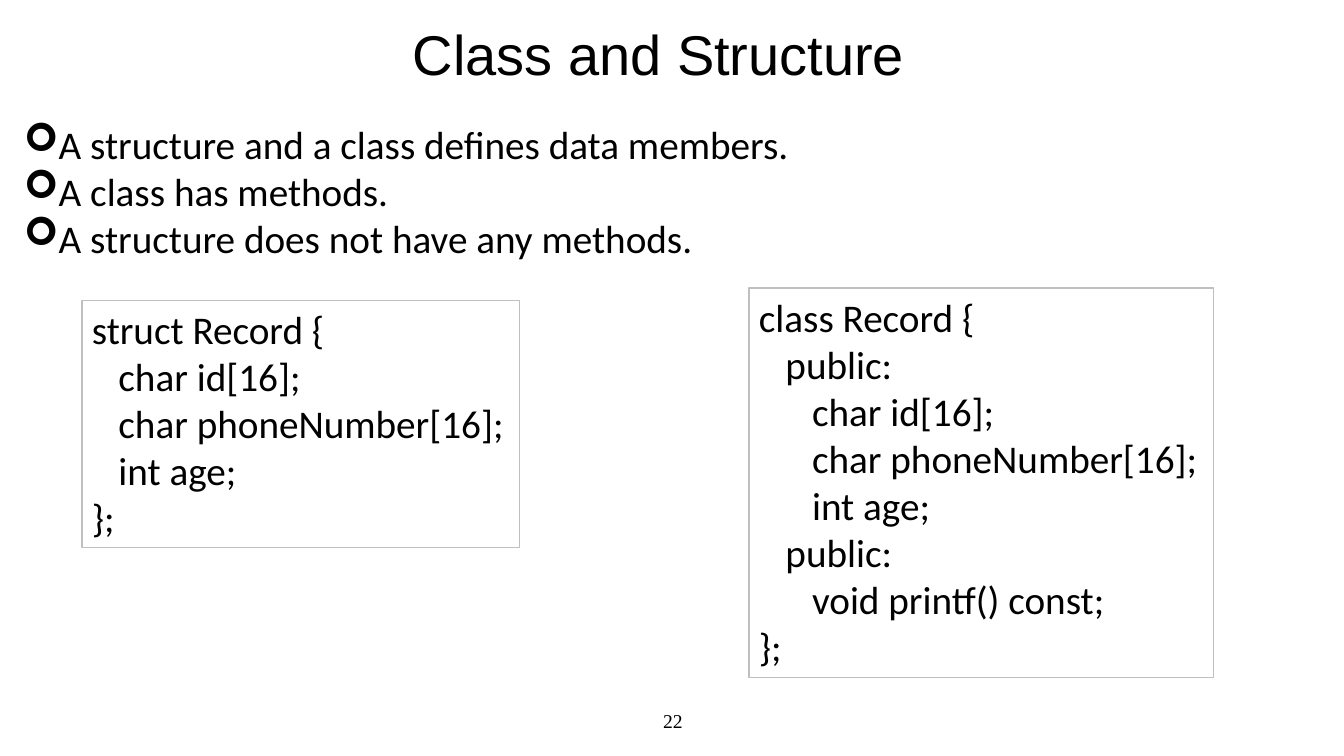
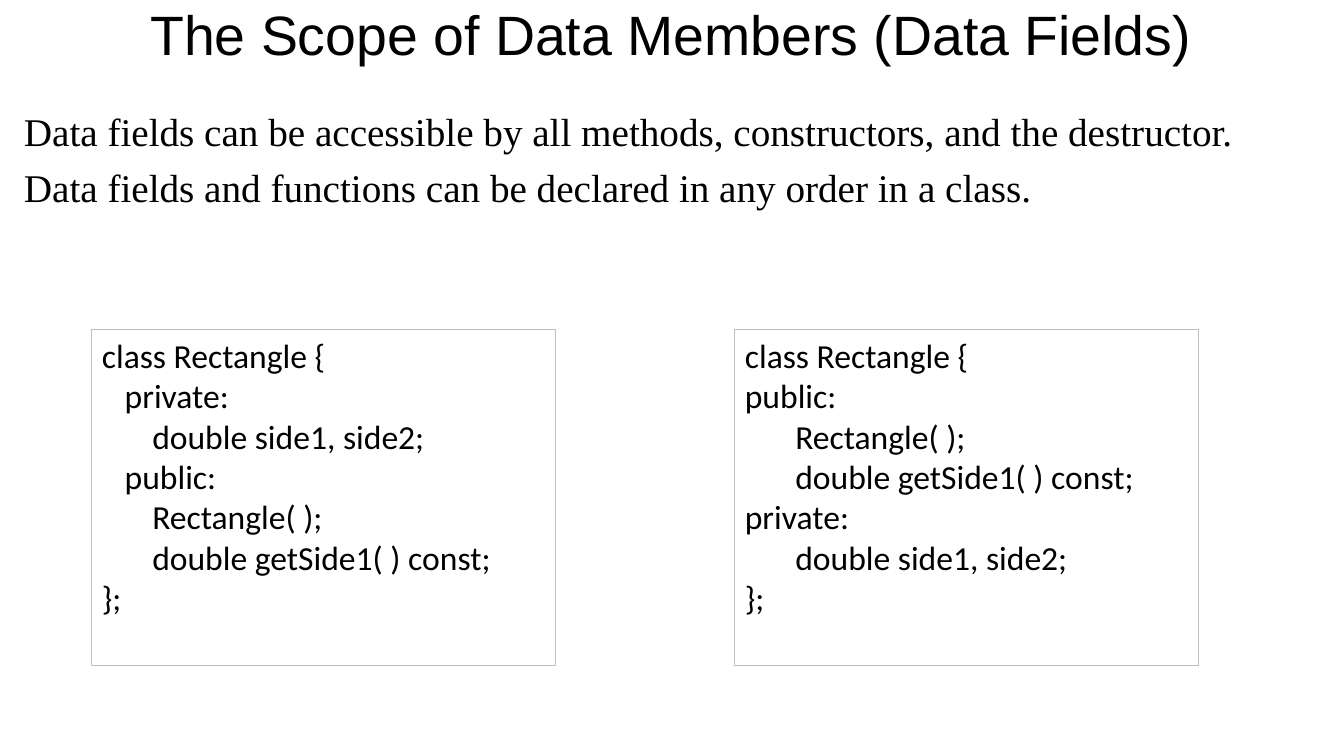
from dataclasses import dataclass

from lxml.etree import SubElement
from pptx import Presentation
from pptx.dml.color import RGBColor
from pptx.enum.shapes import MSO_SHAPE
from pptx.enum.text import MSO_ANCHOR, PP_ALIGN
from pptx.oxml.ns import qn
from pptx.util import Pt

SCALE = 914400 / 100.8  # EMU in one px


@dataclass(frozen=True)
class Theme:
    ink: RGBColor = RGBColor(0x00, 0x00, 0x00)
    border: RGBColor = RGBColor(0xBF, 0xBF, 0xBF)
    title_font: str = "Arial"
    body_font: str = "Calibri"
    serif_font: str = "Times New Roman"
    title_size: float = 40
    body_size: float = 28
    small_code_size: float = 24
    number_size: float = 14


THEME = Theme()

STRUCT_RECORD = """struct Record {
   char id[16];
   char phoneNumber[16];
   int age;
};"""

CLASS_RECORD = """class Record {
   public:
      char id[16];
      char phoneNumber[16];
      int age;
   public:
      void printf() const;
};"""

PRIVATE_FIRST = """class Rectangle {
   private:
\tdouble side1, side2;
   public:
 \tRectangle( );
\tdouble getSide1( ) const;
};"""

PUBLIC_FIRST = """class Rectangle {
public:
 \tRectangle( );
\tdouble getSide1( ) const;
private:
\tdouble side1, side2;
};"""


def px(value):
    return round(value * SCALE)


def fill_text(shape, text, font, size, align=PP_ALIGN.LEFT, anchor=MSO_ANCHOR.TOP,
              line_spacing=None, gap=0, bullet=None):
    """Write one paragraph per line of text, all in one style."""
    frame = shape.text_frame
    frame.word_wrap = True
    frame.vertical_anchor = anchor
    frame.text = text
    for index, paragraph in enumerate(frame.paragraphs):
        paragraph.alignment = align
        if line_spacing:
            paragraph.line_spacing = line_spacing
        if index and gap:
            paragraph.space_before = Pt(gap)
        if bullet:
            add_bullet(paragraph, bullet)
        paragraph.font.name = font
        paragraph.font.size = Pt(size)
        paragraph.font.color.rgb = THEME.ink


def add_bullet(paragraph, character, indent=25):
    properties = paragraph._p.get_or_add_pPr()
    properties.set("marL", str(px(indent)))
    properties.set("indent", str(-px(indent)))
    SubElement(properties, qn("a:buFont"), typeface="Wingdings")
    SubElement(properties, qn("a:buChar"), char=character)


def add_text(slide, box, text, font, size, **style):
    shape = slide.shapes.add_textbox(*map(px, box))
    fill_text(shape, text, font, size, **style)


def add_title(slide, box, text, size=THEME.title_size):
    add_text(slide, box, text, THEME.title_font, size, align=PP_ALIGN.CENTER,
             anchor=MSO_ANCHOR.MIDDLE, line_spacing=0.9)


def add_number(slide, box, number):
    add_text(slide, box, number, THEME.serif_font, THEME.number_size,
             align=PP_ALIGN.CENTER, anchor=MSO_ANCHOR.MIDDLE)


def add_code(slide, box, code, size):
    """Thin grey frame around a code listing."""
    shape = slide.shapes.add_shape(MSO_SHAPE.RECTANGLE, *map(px, box))
    shape.shadow.inherit = False
    shape.fill.background()
    shape.line.color.rgb = THEME.border
    shape.line.width = Pt(0.75)
    fill_text(shape, code, THEME.body_font, size)


def build_structure_slide(slide):
    add_number(slide, (446, 701, 454, 40), "22")
    add_title(slide, (42, 17, 1233, 81), "Class and Structure")
    # Bulleted statements
    add_text(slide, (14, 128, 1312, 148),
             "A structure and a class defines data members.\n"
             "A class has methods.\n"
             "A structure does not have any methods.",
             THEME.body_font, THEME.body_size,
             line_spacing=0.7, gap=10, bullet="➢")
    # Structure beside class
    add_code(slide, (82, 300, 438, 248), STRUCT_RECORD, THEME.body_size)
    add_code(slide, (749, 288, 465, 390), CLASS_RECORD, THEME.body_size)


def build_scope_slide(slide):
    add_title(slide, (42, 0, 1258, 74), "The Scope of Data Members (Data Fields)", 39.6)
    # Plain statements
    add_text(slide, (14, 102, 1313, 262),
             "Data fields can be accessible by all methods, constructors, and the destructor.\n"
             "Data fields and functions can be declared in any order in a class.",
             THEME.serif_font, THEME.body_size, gap=7)
    # Same class in two member orders
    for left, code in ((92, PRIVATE_FIRST), (735, PUBLIC_FIRST)):
        add_code(slide, (left, 330, 464, 336), code, THEME.small_code_size)


def main():
    presentation = Presentation()
    presentation.slide_width = px(1344)
    presentation.slide_height = px(756)
    blank = presentation.slide_layouts[6]
    for build in (build_structure_slide, build_scope_slide):
        build(presentation.slides.add_slide(blank))
    presentation.save("out.pptx")


if __name__ == "__main__":
    main()
